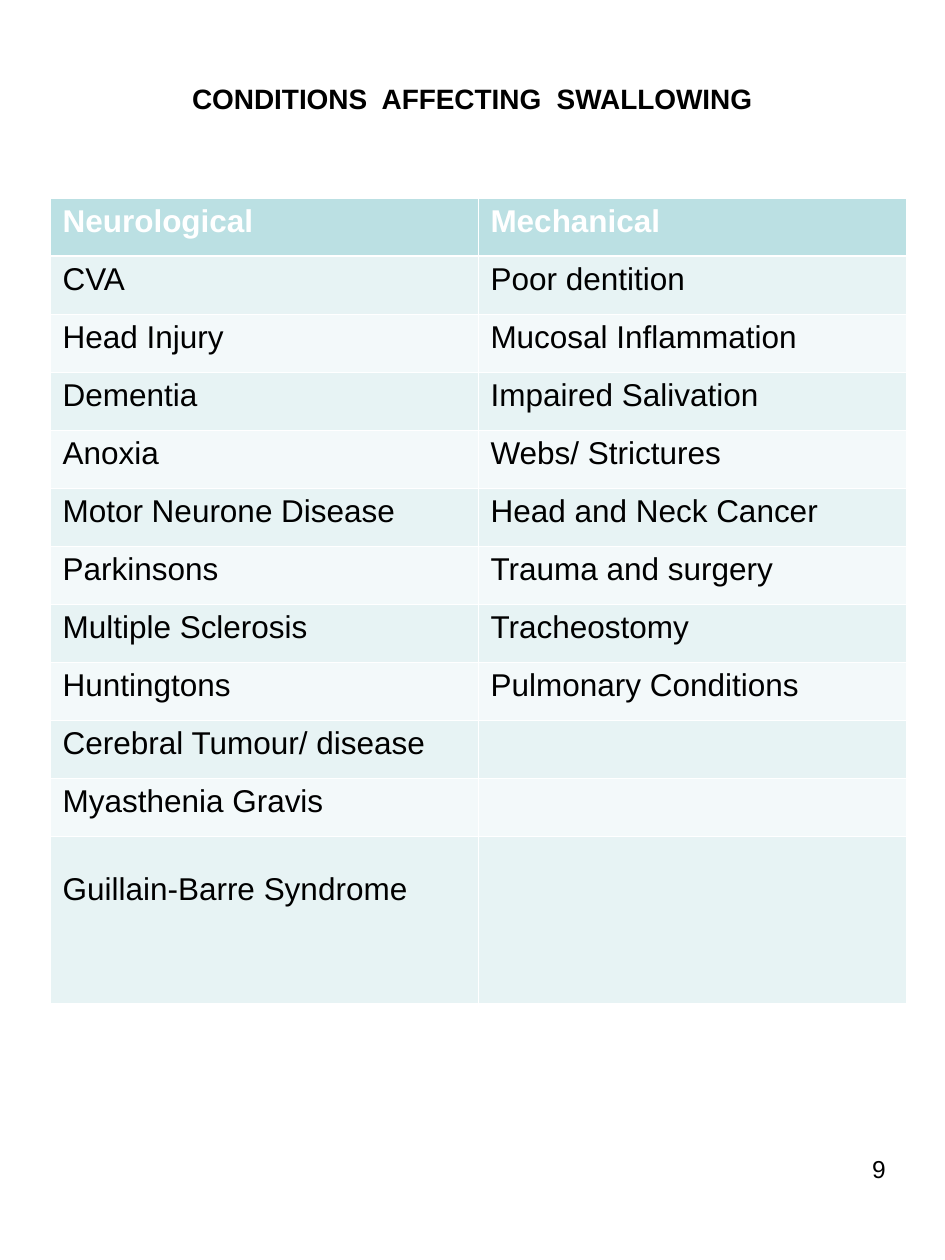
"""Build the slide on conditions affecting swallowing."""
from itertools import zip_longest

from lxml.etree import SubElement
from pptx import Presentation
from pptx.dml.color import RGBColor
from pptx.enum.text import PP_ALIGN
from pptx.oxml.ns import qn
from pptx.util import Emu, Pt

TITLE = "CONDITIONS  AFFECTING  SWALLOWING"
PAGE = "9"
CONDITIONS = {
    "Neurological": [
        "CVA", "Head Injury", "Dementia", "Anoxia", "Motor Neurone Disease",
        "Parkinsons", "Multiple Sclerosis", "Huntingtons",
        "Cerebral Tumour/ disease", "Myasthenia Gravis",
        "Guillain-Barre Syndrome",
    ],
    "Mechanical": [
        "Poor dentition", "Mucosal Inflammation", "Impaired Salivation",
        "Webs/ Strictures", "Head and Neck Cancer", "Trauma and surgery",
        "Tracheostomy", "Pulmonary Conditions",
    ],
}
COLORS = {
    "text": "000000", "white": "FFFFFF", "header": "BBE0E3",
    "odd": "E7F3F4", "even": "F3F9FA",
}
SLIDE_W, SLIDE_H = 945, 1260
TABLE_X, TABLE_Y, COL_W, ROW_H, LAST_ROW_H = 50, 198, 428, 58, 168
THIN, THICK = 0.45, 1.47


def px(n):
    return Emu(round(n * 914400 / 126))


def write(tf, text, size=18, color="text", bold=False,
          align=PP_ALIGN.LEFT, spacing=None):
    tf.word_wrap = True
    p = tf.paragraphs[0]
    p.alignment = align
    p.line_spacing = spacing
    r = p.add_run()
    r.text = text
    r.font.name = "Arial"
    r.font.size = Pt(size)
    r.font.bold = bold
    r.font.color.rgb = RGBColor.from_string(COLORS[color])


def add_label(slide, box, text, top_inset=6, **fmt):
    tf = slide.shapes.add_textbox(*map(px, box)).text_frame
    tf.margin_top = px(top_inset)
    write(tf, text, **fmt)


def style_cell(cell, fill, top, bottom):
    tc_pr = cell._tc.get_or_add_tcPr()
    for side, width in (("L", THIN), ("R", THIN), ("T", top), ("B", bottom)):
        ln = SubElement(tc_pr, qn(f"a:ln{side}"), w=str(Pt(width)))
        solid = SubElement(ln, qn("a:solidFill"))
        SubElement(solid, qn("a:srgbClr"), val=COLORS["white"])
    cell.fill.solid()
    cell.fill.fore_color.rgb = RGBColor.from_string(COLORS[fill])


def add_conditions(slide):
    rows = [tuple(CONDITIONS), *zip_longest(*CONDITIONS.values(), fillvalue="")]
    last = len(rows) - 1
    heights = [ROW_H] * last + [LAST_ROW_H]
    n_cols = len(CONDITIONS)
    table = slide.shapes.add_table(
        len(rows), n_cols, px(TABLE_X), px(TABLE_Y),
        px(COL_W * n_cols), px(sum(heights))).table
    table.first_row = table.horz_banding = False
    for col in table.columns:
        col.width = px(COL_W)
    for i, (row, height) in enumerate(zip(rows, heights)):
        table.rows[i].height = px(height)
        header = i == 0
        fill = "header" if header else "odd" if i % 2 else "even"
        for j, text in enumerate(row):
            cell = table.cell(i, j)
            style_cell(cell, fill, THICK if i == 1 else THIN,
                       THICK if header else THIN)
            if text:
                write(cell.text_frame, text, bold=header,
                      color="white" if header else "text",
                      spacing=1.85 if i == last else None)


def main():
    prs = Presentation()
    prs.slide_width, prs.slide_height = px(SLIDE_W), px(SLIDE_H)
    slide = prs.slides.add_slide(prs.slide_layouts[6])
    add_label(slide, (0, 39, SLIDE_W, 384), TITLE, top_inset=43,
              size=16, bold=True, align=PP_ALIGN.CENTER)
    add_conditions(slide)
    add_label(slide, (678, 1148, 220, 87), PAGE, size=14, align=PP_ALIGN.RIGHT)
    prs.save("out.pptx")


if __name__ == "__main__":
    main()
